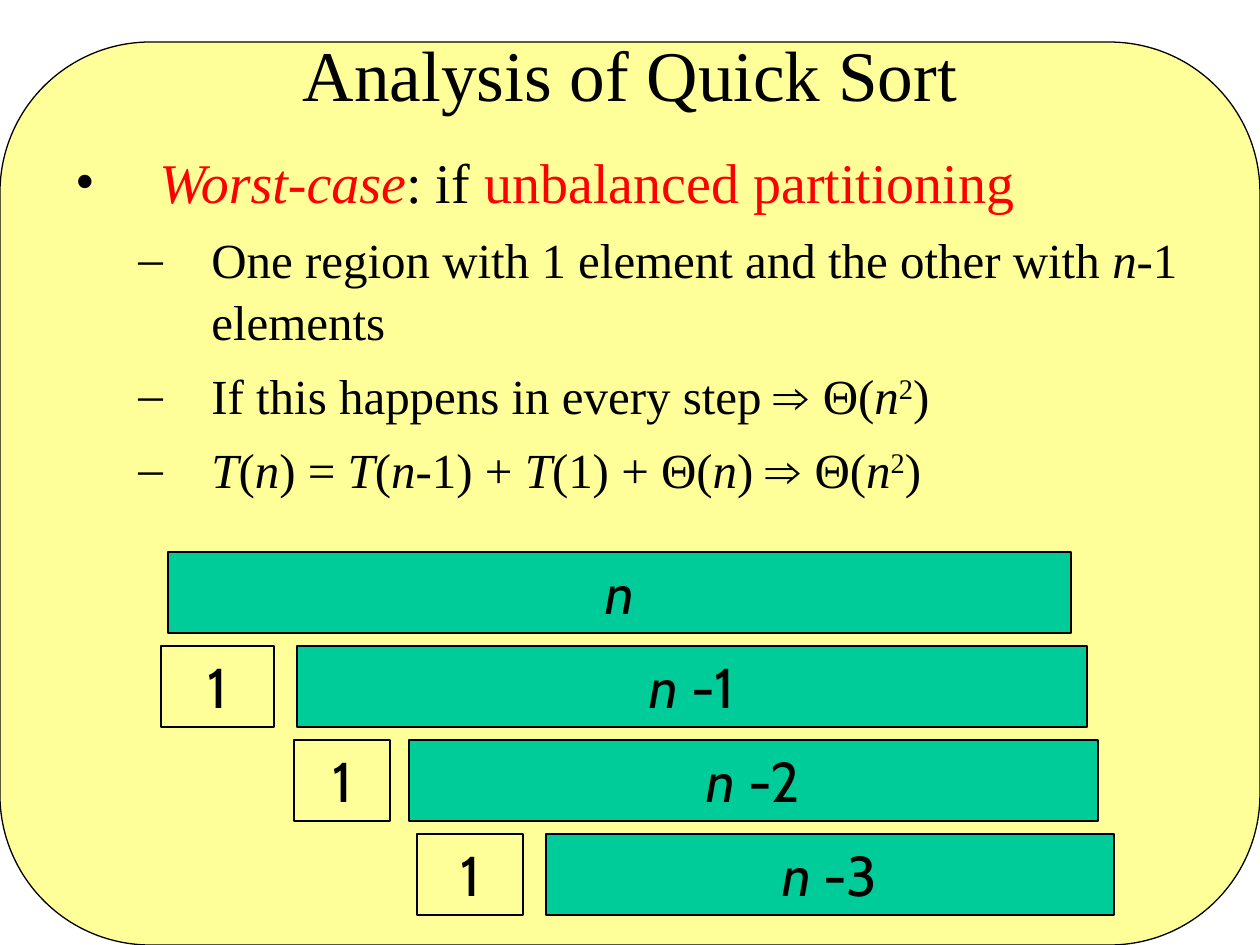
"""Build the slide on the worst case of quick sort."""
from lxml import etree
from pptx import Presentation
from pptx.dml.color import RGBColor
from pptx.enum.shapes import MSO_SHAPE
from pptx.enum.text import MSO_ANCHOR, MSO_AUTO_SIZE, PP_ALIGN
from pptx.oxml.ns import qn
from pptx.util import Emu, Pt

RECT, ROUND = MSO_SHAPE.RECTANGLE, MSO_SHAPE.ROUNDED_RECTANGLE
TOP, MIDDLE = MSO_ANCHOR.TOP, MSO_ANCHOR.MIDDLE
FIXED, GROW = MSO_AUTO_SIZE.NONE, MSO_AUTO_SIZE.SHAPE_TO_FIT_TEXT
CENTER = PP_ALIGN.CENTER

THEME = {
    "ink": RGBColor(0, 0, 0),
    "red": RGBColor(255, 0, 0),
    "cream": RGBColor(255, 255, 153),
    "green": RGBColor(0, 204, 153),
    "serif": "Times New Roman",
    "sans": "Cabin",
    "sign": "Arial",
    "title": 40.7,
    "point": 32,
    "sub": 28,
    "label": 32,
}


def px(*nums):
    return [Emu(round(num * 914400 / 126)) for num in nums]


def write(par, text, size="sub", face="serif", color="ink", italic=False, base=0):
    run = par.add_run()
    run.text = text
    font = run.font
    font.size = Pt(THEME[size])
    font.name = THEME[face]
    font.color.rgb = THEME[color]
    font.italic = italic
    if base:
        font._element.set("baseline", str(base * 1000))


deck = Presentation()
deck.slide_width, deck.slide_height = px(1260, 945)
slide = deck.slides.add_slide(deck.slide_layouts[5])
shapes = slide.shapes

title = shapes.title
title.left, title.top, title.width, title.height = px(63, 21, 1134, 105)
frame = title.text_frame
frame.auto_size = FIXED
frame.vertical_anchor = MIDDLE
frame.paragraphs[0].alignment = CENTER
write(frame.paragraphs[0], "Analysis of Quick Sort", size="title")

PLAIN, ITALIC = {}, {"italic": True}
SIGN, POWER = {"face": "sign"}, {"base": 30}
HEAD = {"size": "point"}
RED = {"size": "point", "color": "red"}
BOUND = [("⇒ ", SIGN), ("Θ(", PLAIN), ("n", ITALIC), ("2", POWER), (")", PLAIN)]
LINES = [
    (0, [("Worst-case", RED | ITALIC), (": if ", HEAD), ("unbalanced partitioning", RED)]),
    (1, [("One region with 1 element and the other with ", PLAIN), ("n", ITALIC),
         ("-1 elements", PLAIN)]),
    (1, [("If this happens in every step ", PLAIN)] + BOUND),
    (1, [("T", ITALIC), ("(", PLAIN), ("n", ITALIC), (") = ", PLAIN), ("T", ITALIC),
         ("(", PLAIN), ("n", ITALIC), ("-1) + ", PLAIN), ("T", ITALIC),
         ("(1) + Θ(", PLAIN), ("n", ITALIC), (") ", PLAIN)] + BOUND),
]
LEVELS = [("•", 84, -84), ("–", 136, -73)]

frame = shapes.add_textbox(*px(63, 138, 1134, 388)).text_frame
frame.word_wrap = True
frame.auto_size = FIXED
for row, (level, runs) in enumerate(LINES):
    par = frame.add_paragraph() if row else frame.paragraphs[0]
    mark, margin, indent = LEVELS[level]
    par.level = level
    par.line_spacing = 1.05
    par.space_before = Pt(7 if row else 0)
    props = par._p.get_or_add_pPr()
    for key, size in zip(("marL", "indent"), px(margin, indent)):
        props.set(key, str(size))
    tint = etree.SubElement(props, qn("a:buClr"))
    etree.SubElement(tint, qn("a:srgbClr"), val=str(THEME["ink"]))
    etree.SubElement(props, qn("a:buFont"), typeface=THEME["serif"])
    etree.SubElement(props, qn("a:buChar"), char=mark)
    for text, style in runs:
        write(par, text, **style)

SPLITS = [
    ("", (168, 903), None),
    ("-1", (297, 790), (161, 113)),
    ("-2", (409, 689), (294, 96)),
    ("-3", (546, 568), (417, 106)),
]
blocks = [(ROUND, (0, 42, 1260, 903), "cream", [])]
for row, (less, rest, one) in enumerate(SPLITS):
    top = 552 + 94 * row
    runs = [("n " if less else "n", True)] + ([(less, False)] if less else [])
    blocks.append((RECT, (rest[0], top, rest[1], 81), "green", runs))
    if one:
        blocks.append((RECT, (one[0], top, one[1], 81), "cream", [("1", False)]))

for kind, place, fill, runs in blocks:
    block = shapes.add_shape(kind, *px(*place))
    block.shadow.inherit = False
    block.fill.solid()
    block.fill.fore_color.rgb = THEME[fill]
    block.line.color.rgb = THEME["ink"]
    block.line.width = Pt(0.75)
    if kind == ROUND:
        title.element.addprevious(block.element)
        continue
    frame = block.text_frame
    frame.word_wrap = True
    frame.auto_size = GROW
    frame.vertical_anchor = TOP
    par = frame.paragraphs[0]
    par.alignment = CENTER
    for text, italic in runs:
        write(par, text, size="label", face="sans", italic=italic)

deck.save("out.pptx")
